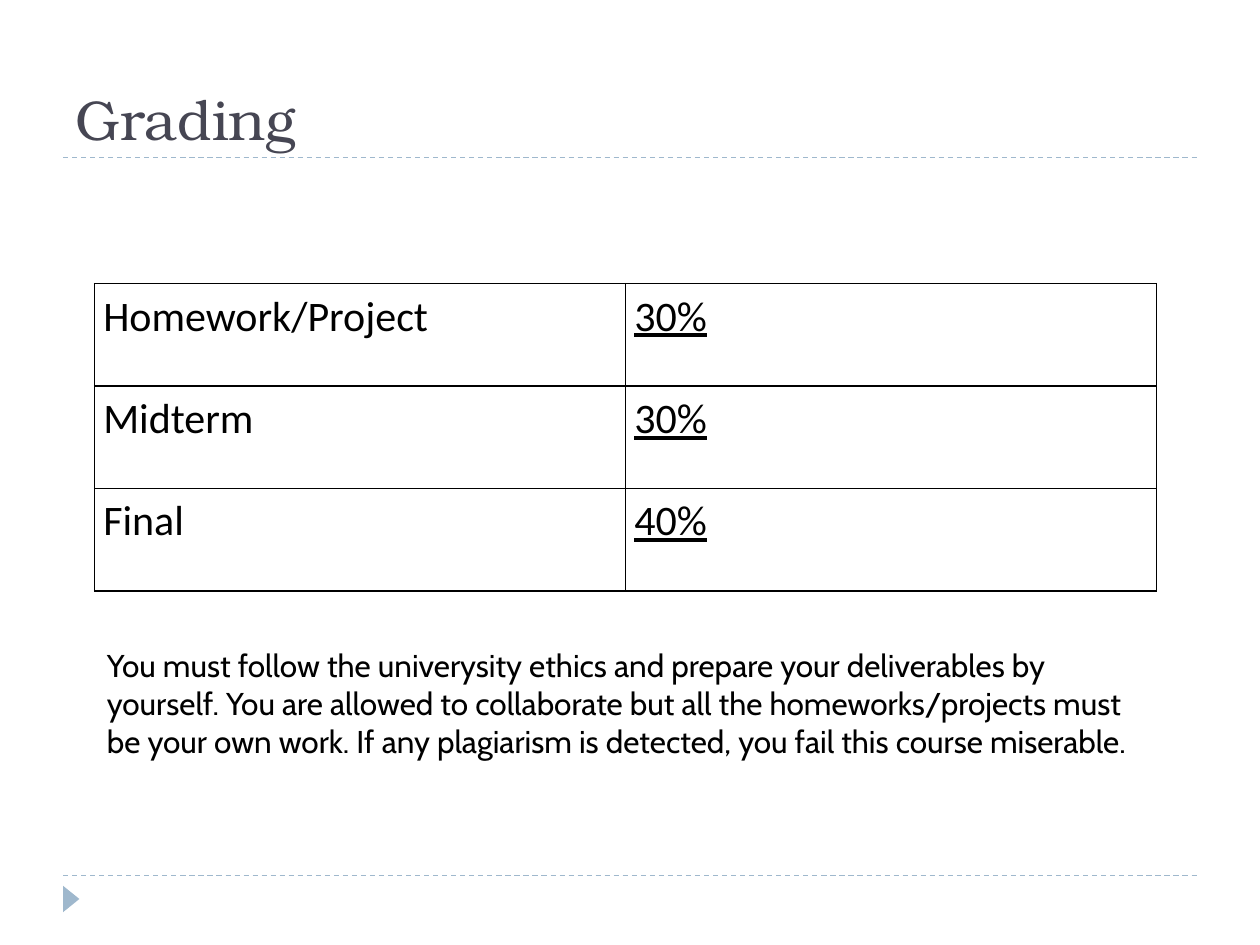
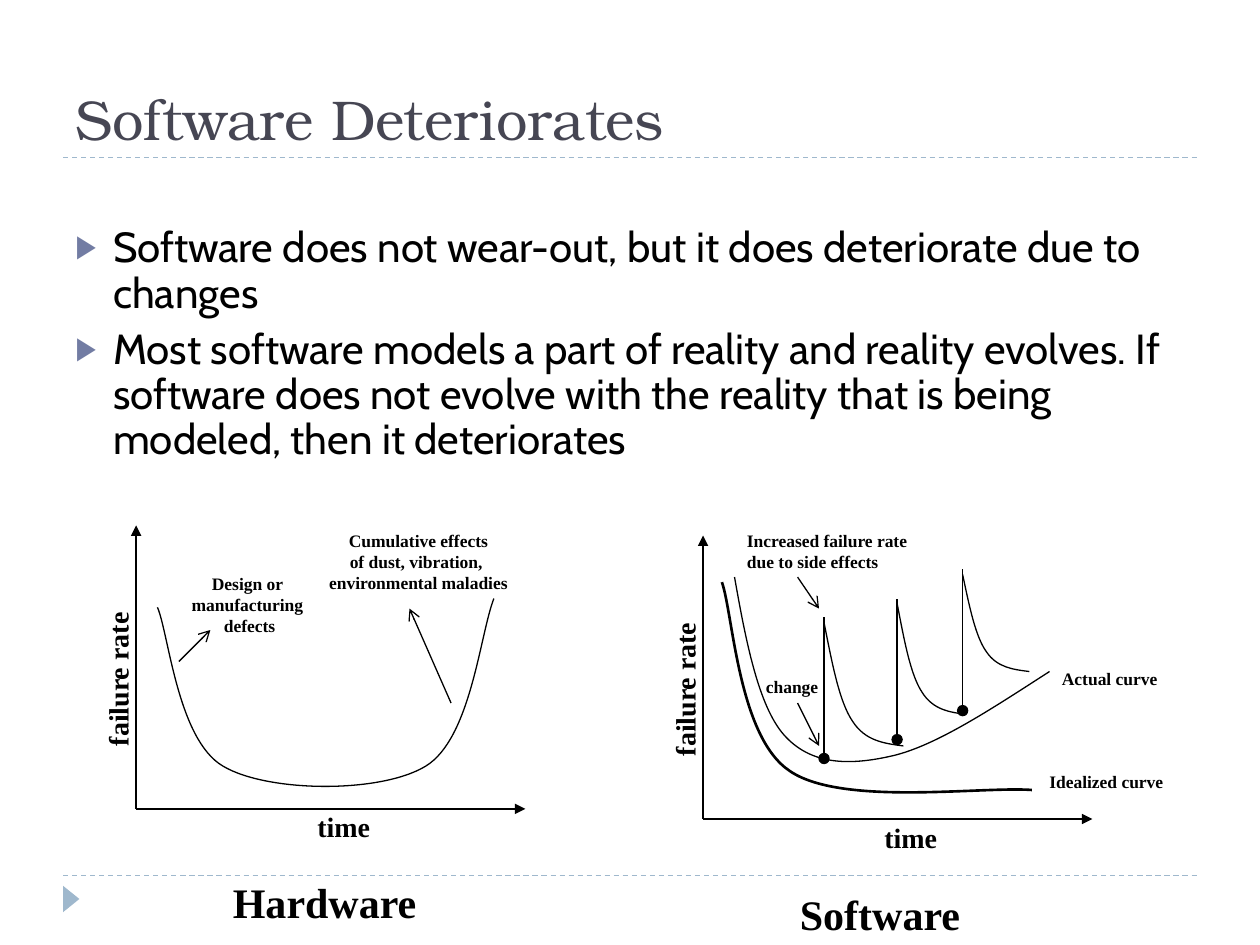
from lxml import etree
from pptx import Presentation
from pptx.dml.color import RGBColor
from pptx.enum.dml import MSO_LINE
from pptx.enum.shapes import MSO_CONNECTOR, MSO_SHAPE
from pptx.enum.text import MSO_ANCHOR, MSO_AUTO_SIZE, PP_ALIGN
from pptx.oxml.ns import qn
from pptx.util import Inches, Pt

STRAIGHT = MSO_CONNECTOR.STRAIGHT
TRIANGLE, OVAL = MSO_SHAPE.ISOSCELES_TRIANGLE, MSO_SHAPE.OVAL
DASH = MSO_LINE.DASH
TOP, BOTTOM = MSO_ANCHOR.TOP, MSO_ANCHOR.BOTTOM
LEFT, CENTER = PP_ALIGN.LEFT, PP_ALIGN.CENTER
GROW, FIXED = MSO_AUTO_SIZE.SHAPE_TO_FIT_TEXT, MSO_AUTO_SIZE.NONE
COLORS = {"ink": "000000", "title": "464653", "rule": "9FB8CD", "bullet": "727CA3"}
TITLE_FONT, BODY_FONT, TABLE_FONT, LABEL_FONT = (
    "TeX Gyre Bonum", "Cabin", "Calibri", "Times New Roman")


def color(name):
    return RGBColor.from_string(COLORS[name])


def child(parent, tag, **attributes):
    return etree.SubElement(parent, qn(tag), attributes)


class Builder:
    """Holds the deck style and draws elements on the current slide."""

    def __init__(self):
        self.deck = Presentation()
        self.deck.slide_width, self.deck.slide_height = Inches(10), Inches(7.5)

    def start_page(self, title):
        self.page = self.deck.slides.add_slide(self.deck.slide_layouts[6])
        self.shapes = self.page.shapes
        for y in (6.95, 1.25):
            self.line((0.5, y), (9.5, y), "rule", dash=DASH)
        marker = self.shape(TRIANGLE, 0.46, 7.07, 0.21, 0.13, "rule")
        marker.rotation = 90
        self.text([title], 0.5, 0.17, 9, 1.08, 32, TITLE_FONT, "title", anchor=BOTTOM)

    def start_group(self):
        self.shapes = self.page.shapes.add_group_shape().shapes

    def shape(self, kind, left, top, width, height, fill, outlined=False):
        shape = self.shapes.add_shape(
            kind, Inches(left), Inches(top), Inches(width), Inches(height))
        shape.shadow.inherit = False
        shape.fill.solid()
        shape.fill.fore_color.rgb = color(fill)
        if outlined:
            self.stroke(shape.line, fill)
        else:
            shape.line.fill.background()
        return shape

    def stroke(self, line, name="ink", weight=0.75):
        line.color.rgb = color(name)
        line.width = Pt(weight)

    def line(self, start, end, name="ink", dash=None, head=None, tail=None):
        connector = self.shapes.add_connector(
            STRAIGHT, *(Inches(value) for value in start + end))
        self.stroke(connector.line, name)
        if dash:
            connector.line.dash_style = dash
        properties = connector.line._get_or_add_ln()
        for tag, arrow in (("a:headEnd", head), ("a:tailEnd", tail)):
            if arrow:
                child(properties, tag, type=arrow)
        child(connector._element.spPr, "a:effectLst")

    def curve(self, start, *segments, weight=0.75):
        points = [point for segment in segments for point in segment]
        outline = self.shapes.build_freeform(Inches(start[0]), Inches(start[1]))
        outline.add_line_segments(
            [(Inches(x), Inches(y)) for x, y in points], close=False)
        shape = outline.convert_to_shape()
        shape.shadow.inherit = False
        shape.fill.background()
        self.stroke(shape.line, weight=weight)
        route = next(shape._element.iter(qn("a:path")))
        steps = route.findall(qn("a:lnTo"))
        for first in range(0, len(steps), 3):
            bend = child(route, "a:cubicBezTo")
            for step in steps[first:first + 3]:
                bend.append(step[0])
                route.remove(step)

    def style(self, para, size, font, name="ink", bold=False, align=LEFT):
        para.alignment = align
        para.font.size, para.font.name, para.font.bold = Pt(size), font, bold
        para.font.color.rgb = color(name)

    def text(self, lines, left, top, width, height, size, font, name="ink",
             bold=False, align=LEFT, anchor=TOP, wrap=True, grow=False):
        box = self.shapes.add_textbox(
            Inches(left), Inches(top), Inches(width), Inches(height))
        frame = box.text_frame
        frame.word_wrap, frame.vertical_anchor = wrap, anchor
        frame.auto_size = GROW if grow else FIXED
        for index, line in enumerate(lines):
            para = frame.add_paragraph() if index else frame.paragraphs[0]
            para.text = line
            self.style(para, size, font, name, bold, align)
        return box

    def label(self, lines, left, top, width, height, size=10, align=LEFT):
        return self.text(lines, left, top, width, height, size, LABEL_FONT,
                         bold=True, align=align, wrap=False, grow=True)

    def bullets(self, lines, left, top, width, height):
        box = self.text(lines, left, top, width, height, 24, BODY_FONT)
        marks = (("a:buClr", {}), ("a:buSzPct", {"val": "76000"}),
                 ("a:buFont", {"typeface": "Arial"}), ("a:buChar", {"char": "▶"}))
        for para in box.text_frame.paragraphs:
            para.line_spacing, para.space_before = 0.9, Pt(6)
            properties = para._p.get_or_add_pPr()
            properties.set("marL", str(Inches(0.3)))
            properties.set("indent", str(-Inches(0.3)))
            for tag, attributes in marks:
                mark = child(properties, tag, **attributes)
                if tag == "a:buClr":
                    child(mark, "a:srgbClr", val=COLORS["bullet"])
            properties.append(properties.find(qn("a:defRPr")))

    def table(self, rows, left, top, width, height):
        table = self.shapes.add_table(
            len(rows), len(rows[0]), Inches(left), Inches(top),
            Inches(width), Inches(height)).table
        table.first_row = table.horz_banding = False
        for row, values in enumerate(rows):
            for column, value in enumerate(values):
                cell = table.cell(row, column)
                cell.margin_left = cell.margin_right = Inches(0.07)
                cell.margin_top = cell.margin_bottom = 0
                para = cell.text_frame.paragraphs[0]
                para.text, para.line_spacing = value, 1.15
                self.style(para, 24, TABLE_FONT)
                para.font.underline = column == 1
                self.borders(cell)
                cell.fill.background()

    def borders(self, cell):
        properties = cell._tc.get_or_add_tcPr()
        for side in ("a:lnL", "a:lnR", "a:lnT", "a:lnB"):
            edge = child(properties, side, w=str(Pt(1)))
            child(child(edge, "a:solidFill"), "a:srgbClr", val=COLORS["ink"])

    def axes(self, left, base, name, name_top, name_width):
        origin = (left, base)
        self.line(origin, (left, base - 2.25), tail="triangle")
        self.line(origin, (left + 3.09, base), tail="triangle")
        self.label(["time"], left + 1.34, base - 0.04, 0.62, 0.37, 16)
        rate = self.label(["failure rate"], left - 0.78, base - 1.22, 1.27, 0.37, 16)
        rate.rotation = 270
        self.label([name], left + 0.67, name_top, name_width, 0.5, 24)

    def spike(self, x, dot_top, end):
        self.shape(OVAL, x - 0.04, dot_top, 0.08, 0.08, "ink", outlined=True)
        peak = dot_top - 1.08
        self.line((x, dot_top), (x, peak))
        start = (x, peak + 0.04)
        shares = ((0.1, 0.32), (0.19, 0.64), (0.36, 0.8),
                  (0.52, 0.96), (0.76, 0.98), (1, 1))
        points = [tuple(low + share * (high - low)
                        for low, high, share in zip(start, end, pair))
                  for pair in shares]
        self.curve(start, points[:3], points[3:])


def grading(builder):
    builder.start_page("Grading")
    builder.table([("Homework/Project", "30%"), ("Midterm", "30%"), ("Final", "40%")],
                  0.75, 2.25, 8.43, 2.44)
    builder.text(
        ["You must follow the univerysity ethics and prepare your deliverables by "
         "yourself. You are allowed to collaborate but all the homeworks/projects must "
         "be your own work. If any plagiarism is detected, you fail this course miserable."],
        0.75, 5.08, 8.43, 1.01, 18, BODY_FONT, grow=True)


def hardware(builder):
    builder.start_group()
    builder.axes(1.08, 6.42, "Hardware", 6.91, 1.66)
    builder.curve((1.25, 4.82),
                  ((1.34, 5.03), (1.41, 5.87), (1.77, 6.08)),
                  ((2.12, 6.29), (3.02, 6.3), (3.38, 6.08)),
                  ((3.74, 5.86), (3.81, 5.03), (3.92, 4.75)))
    builder.label(["Design or ", "manufacturing ", "defects"],
                  1.42, 4.5, 1.12, 0.6, align=CENTER)
    builder.line((1.67, 5), (1.42, 5.25), head="arrow")
    builder.label(["Cumulative effects", "of dust, vibration, ", "environmental maladies"],
                  2.51, 4.16, 1.62, 0.6, align=CENTER)
    builder.line((3.25, 4.83), (3.58, 5.58), head="arrow")


def software(builder):
    builder.start_group()
    builder.axes(5.58, 6.5, "Software", 7, 1.48)
    builder.curve((5.73, 4.62),
                  ((5.82, 4.88), (5.86, 5.85), (6.27, 6.12)),
                  ((6.68, 6.4), (7.79, 6.24), (8.19, 6.27)), weight=1.5)
    builder.label(["Idealized curve"], 8.23, 6.07, 1.11, 0.27)
    builder.curve((5.83, 4.58),
                  ((5.92, 5.09), (6.02, 5.6), (6.22, 5.83)),
                  ((6.43, 6.07), (6.73, 6.08), (7.08, 6)),
                  ((7.43, 5.92), (7.88, 5.62), (8.33, 5.33)))
    builder.label(["Actual curve"], 8.33, 5.25, 0.96, 0.27)
    for x, dot_top, end in ((6.54, 5.98, (7.17, 5.92)), (7.12, 5.83, (7.67, 5.67)),
                            (7.64, 5.6, (8.17, 5.33))):
        builder.spike(x, dot_top, end)
    builder.label(["change"], 5.98, 5.32, 0.62, 0.27)
    builder.line((6.33, 5.58), (6.5, 5.92), tail="arrow")
    builder.label(["Increased failure rate ", "due to side effects"], 5.83, 4.16, 1.52, 0.43)
    builder.line((6.33, 4.58), (6.5, 4.83), tail="arrow")


def deterioration(builder):
    builder.start_page("Software Deteriorates")
    builder.bullets(
        ["Software does not wear-out, but it does deteriorate due to changes",
         "Most software models a part of reality and reality evolves. If software does "
         "not evolve with the reality that is being modeled, then it deteriorates"],
        0.5, 1.75, 9, 2.17)
    hardware(builder)
    software(builder)


builder = Builder()
grading(builder)
deterioration(builder)
builder.deck.save("out.pptx")
